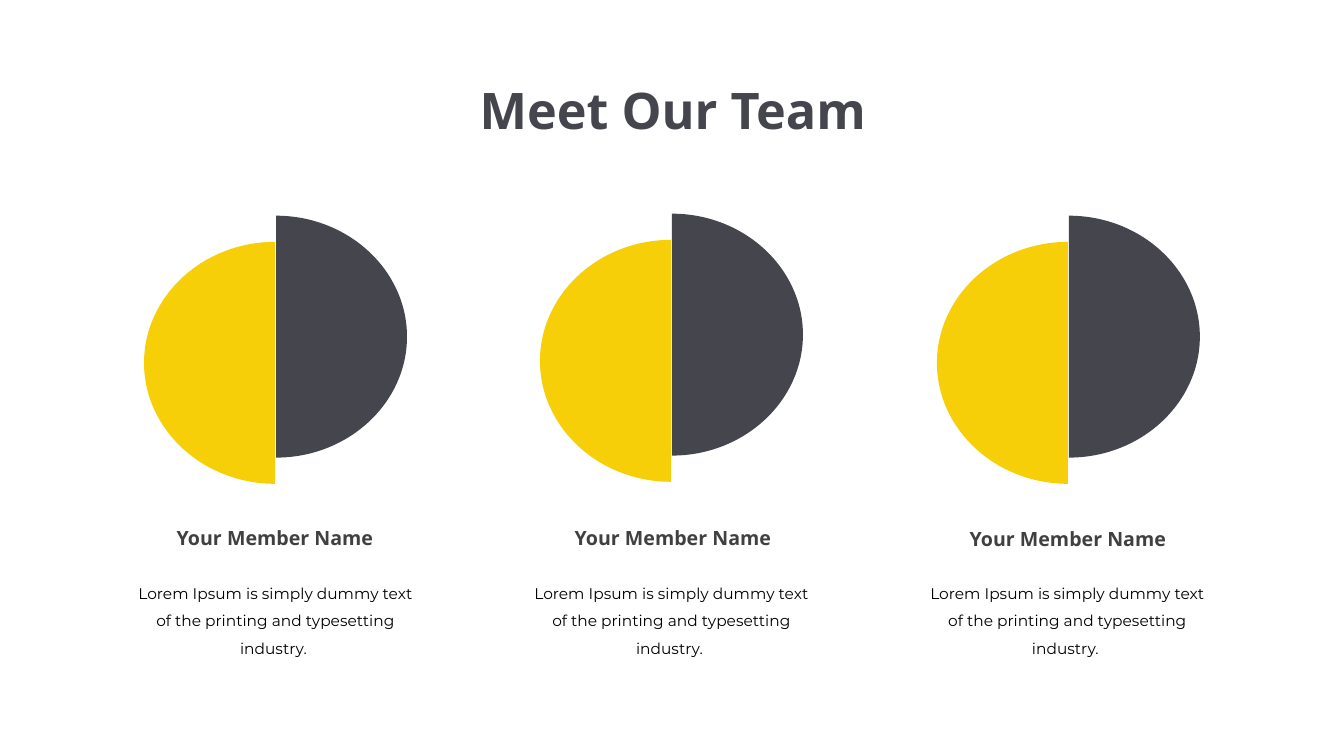
from dataclasses import dataclass

from lxml import etree
from pptx import Presentation
from pptx.dml.color import RGBColor
from pptx.enum.text import MSO_ANCHOR, PP_ALIGN
from pptx.oxml.ns import qn
from pptx.shapes.autoshape import Shape
from pptx.slide import Slide
from pptx.util import Inches, Pt

CENTER = PP_ALIGN.CENTER
TOP = MSO_ANCHOR.TOP
SLATE = RGBColor(0x45, 0x45, 0x4D)
YELLOW = RGBColor(0xF6, 0xCF, 0x08)
CHARCOAL = RGBColor(0x40, 0x40, 0x40)
BLACK = RGBColor(0x00, 0x00, 0x00)

HALF_WIDTH = 1.3
HALF_HEIGHT = 1.2
YELLOW_DROP = 0.26
CURVE = 0.55
FIRST_BIO_LEFT = 1.21
BIO_PITCH = 3.93
BIO = "Lorem Ipsum is simply dummy text of the printing and typesetting industry. "


@dataclass(frozen=True)
class Member:
    name: str
    bio: str
    emblem_axis: float
    emblem_top: float
    name_left: float
    name_top: float


@dataclass(frozen=True)
class TextStyle:
    font: str
    size: float
    color: RGBColor
    bold: bool = False
    line_spacing: float = 1.0


TITLE_STYLE = TextStyle("Open Sans", 36, SLATE, bold=True)
NAME_STYLE = TextStyle("Open Sans", 14, CHARCOAL, bold=True)
BIO_STYLE = TextStyle("Montserrat", 11, BLACK, line_spacing=1.5)

MEMBERS = [
    Member("Your Member Name", BIO, 2.74, 2.14, 0.86, 5.17),
    Member("Your Member Name", BIO, 6.67, 2.12, 4.81, 5.17),
    Member("Your Member Name", BIO, 10.61, 2.14, 8.73, 5.18),
]


def write_text(holder: Shape, text: str, style: TextStyle) -> None:
    frame = holder.text_frame
    frame.word_wrap = True
    frame.vertical_anchor = TOP
    frame.text = text
    paragraph = frame.paragraphs[0]
    paragraph.alignment = CENTER
    paragraph.line_spacing = style.line_spacing
    paragraph.space_before = Pt(0)
    paragraph.font.name = style.font
    paragraph.font.size = Pt(style.size)
    paragraph.font.bold = style.bold
    paragraph.font.color.rgb = style.color


def add_text(slide: Slide, left: float, top: float, width: float, height: float,
             text: str, style: TextStyle) -> None:
    box = slide.shapes.add_textbox(Inches(left), Inches(top), Inches(width), Inches(height))
    write_text(box, text, style)


def round_edges(half_disc: Shape, direction: int) -> None:
    width, height = half_disc.width, half_disc.height
    flat, apex = (0, width) if direction > 0 else (width, 0)
    shoulder = flat + (apex - flat) * CURVE
    rise = height / 2 * (1 - CURVE)
    quarters = [
        [(shoulder, 0), (apex, rise), (apex, height / 2)],
        [(apex, height - rise), (shoulder, height), (flat, height)],
    ]
    for edge, points in zip(half_disc._element.xpath(".//a:lnTo"), quarters):
        curve = etree.Element(qn("a:cubicBezTo"))
        for x, y in points:
            etree.SubElement(curve, qn("a:pt"), x=str(round(x)), y=str(round(y)))
        edge.getparent().replace(edge, curve)


def add_half_disc(slide: Slide, axis: float, top: float, direction: int,
                  color: RGBColor) -> None:
    builder = slide.shapes.build_freeform(Inches(axis), Inches(top))
    builder.add_line_segments([
        (Inches(axis + direction * HALF_WIDTH), Inches(top + HALF_HEIGHT)),
        (Inches(axis), Inches(top + 2 * HALF_HEIGHT)),
    ], close=True)
    half_disc = builder.convert_to_shape()
    round_edges(half_disc, direction)
    half_disc.shadow.inherit = False
    half_disc.fill.solid()
    half_disc.fill.fore_color.rgb = color
    half_disc.line.fill.background()


def add_member(slide: Slide, member: Member, column: int) -> None:
    axis, top = member.emblem_axis, member.emblem_top
    add_half_disc(slide, axis, top, 1, SLATE)
    add_half_disc(slide, axis - 0.01, top + YELLOW_DROP, -1, YELLOW)
    add_text(slide, member.name_left, member.name_top, 3.74, 0.34, member.name, NAME_STYLE)
    bio_left = FIRST_BIO_LEFT + column * BIO_PITCH
    add_text(slide, bio_left, 5.65, 3.05, 0.93, member.bio, BIO_STYLE)


def main() -> None:
    deck = Presentation()
    deck.slide_width = Inches(13.34)
    deck.slide_height = Inches(7.5)
    slide = deck.slides.add_slide(deck.slide_layouts[5])

    title = slide.shapes.title
    title.left, title.top = Inches(2.3), Inches(0.73)
    title.width, title.height = Inches(8.76), Inches(0.7)
    write_text(title, "Meet Our Team", TITLE_STYLE)

    for column, member in enumerate(MEMBERS):
        add_member(slide, member, column)

    deck.save("out.pptx")


if __name__ == "__main__":
    main()
